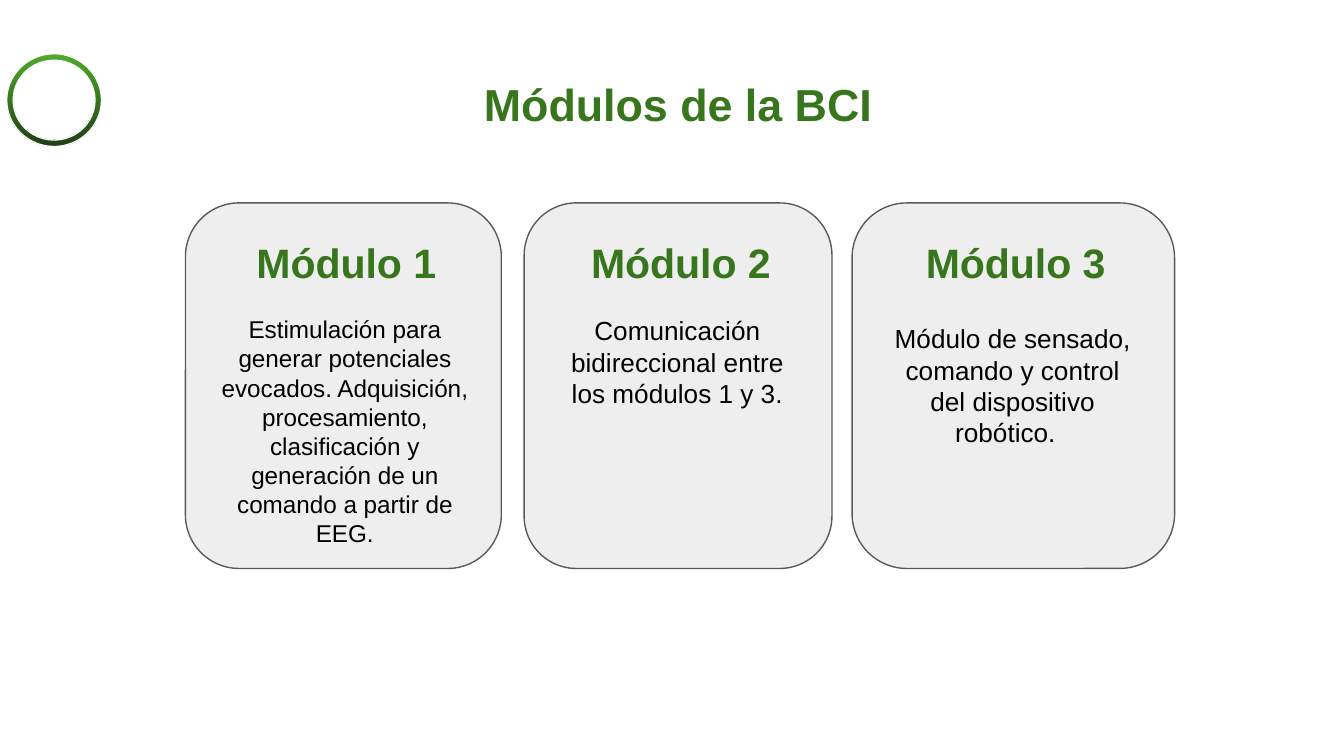
from pptx import Presentation
from pptx.dml.color import RGBColor
from pptx.enum.shapes import MSO_SHAPE
from pptx.enum.text import MSO_AUTO_SIZE, PP_ALIGN
from pptx.util import Emu, Pt

PX = 4572
GREEN = "38761D"
HEADING = {"size": Pt(22), "bold": True}
TITLE = {"size": Pt(24), "bold": True}
CARD_TOP, CARD_HEIGHT = 302, 544
HEADING_LEFT, HEADING_STEP = 362, 498

MODULES = [
    ((276, 470), (308, 448, 410, 390), 13,
     "Estimulación para generar potenciales evocados. Adquisición, "
     "procesamiento, clasificación y generación de un comando a partir de EEG."),
    ((780, 458), (824, 448, 368, 182), 14,
     "Comunicación bidireccional entre los módulos 1 y 3."),
    ((1268, 480), (1302, 460, 410, 228), 14,
     "Módulo de sensado, comando y control del dispositivo robótico.  "),
]


def px(length):
    return Emu(length * PX)


def color(value):
    return RGBColor.from_string(value)


def apply(target, values):
    for name, value in values.items():
        setattr(target, name, value)


def add_outlined(slide, preset, box, adjustment, fill, line):
    outlined = slide.shapes.add_shape(preset, *map(px, box))
    outlined.shadow.inherit = False
    outlined.adjustments[0] = adjustment
    if isinstance(fill, str):
        outlined.fill.solid()
        outlined.fill.fore_color.rgb = color(fill)
    else:
        outlined.fill.gradient()
        outlined.fill.gradient_angle = 270
        for stop, value in zip(outlined.fill.gradient_stops, fill):
            stop.color.rgb = color(value)
    outlined.line.color.rgb = color(line)
    outlined.line.width = Pt(0.75)


def add_text(slide, box, text, font, ink, align):
    frame = slide.shapes.add_textbox(*map(px, box)).text_frame
    margins = dict.fromkeys(
        ("margin_left", "margin_top", "margin_right", "margin_bottom"), px(20))
    apply(frame, {**margins, "word_wrap": True,
                  "auto_size": MSO_AUTO_SIZE.SHAPE_TO_FIT_TEXT})
    paragraph = frame.paragraphs[0]
    paragraph.alignment = align
    run = paragraph.add_run()
    run.text = text
    apply(run.font, {"name": "Arial", **font})
    run.font.color.rgb = color(ink)


def add_module(slide, index, card, body_box, body_size, body):
    left, width = card
    add_outlined(slide, MSO_SHAPE.ROUNDED_RECTANGLE,
                 (left, CARD_TOP, width, CARD_HEIGHT), 0.17, "EEEEEE", "595959")
    add_text(slide, (HEADING_LEFT + index * HEADING_STEP, 334, 354, 114),
             f"Módulo {index + 1}", HEADING, GREEN, PP_ALIGN.LEFT)
    add_text(slide, body_box, body, {"size": Pt(body_size)}, "000000",
             PP_ALIGN.CENTER)


def main():
    presentation = Presentation()
    apply(presentation, {"slide_width": px(2000), "slide_height": px(1125)})
    slide = presentation.slides.add_slide(presentation.slide_layouts[6])
    add_outlined(slide, MSO_SHAPE.DONUT, (0, 70, 160, 158), 0.17,
                 "FFFFFF", "FFFFFF")
    add_outlined(slide, MSO_SHAPE.DONUT, (10, 80, 141, 138), 0.07,
                 ("51AB2A", "203E13"), "FFFFFF")
    add_text(slide, (546, 94, 926, 122), "Módulos de la BCI", TITLE, GREEN,
             PP_ALIGN.CENTER)
    for index, module in enumerate(MODULES):
        add_module(slide, index, *module)
    presentation.save("out.pptx")


if __name__ == "__main__":
    main()
